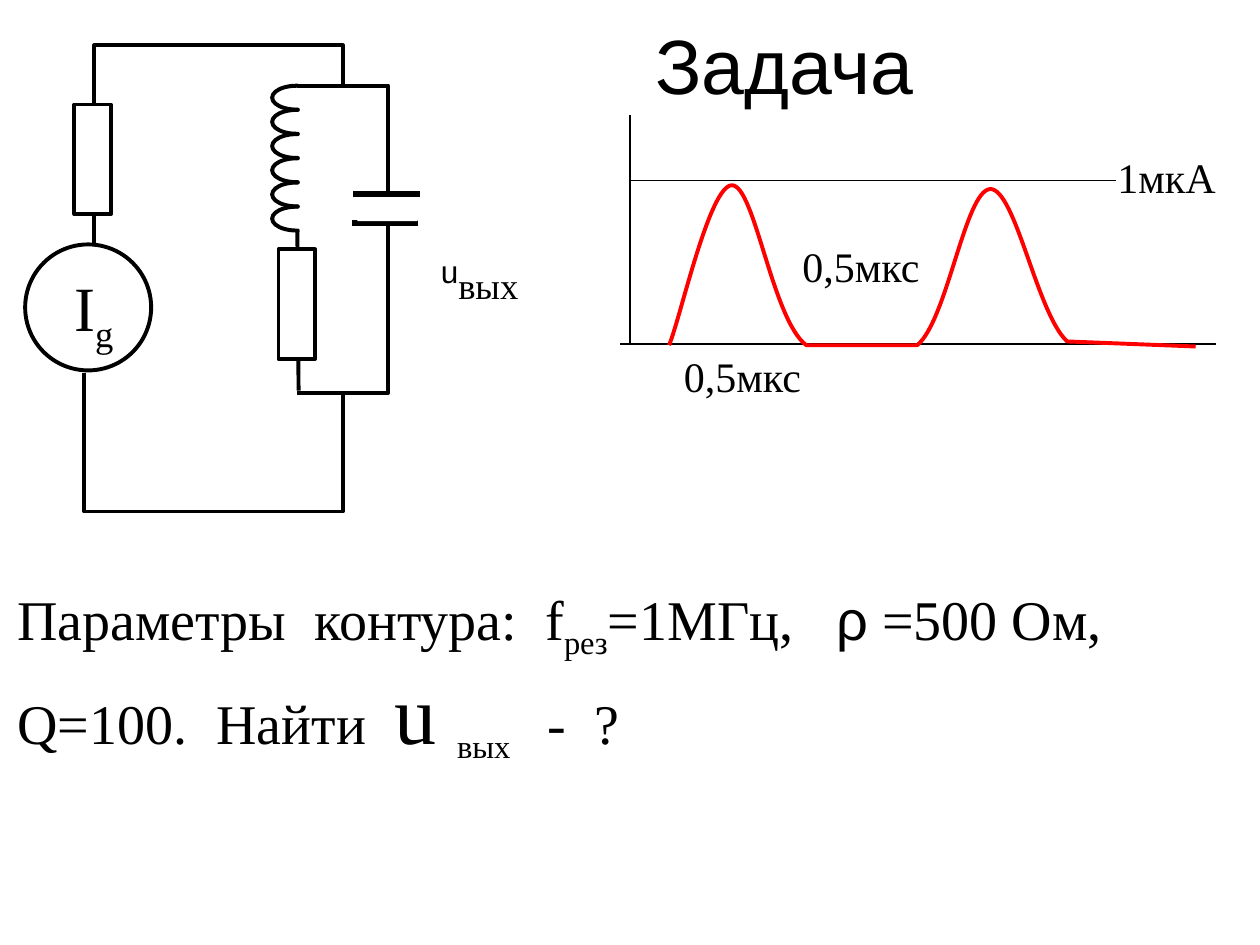
from lxml.etree import SubElement
from pptx import Presentation
from pptx.dml.color import RGBColor
from pptx.enum.shapes import MSO_CONNECTOR, MSO_SHAPE
from pptx.enum.text import MSO_ANCHOR, MSO_AUTO_SIZE, PP_ALIGN
from pptx.oxml.ns import qn
from pptx.util import Inches, Pt


class Theme:
    ink, paper, coil, signal = "000000", "FFFFFF", "BBE0E3", "FF0000"
    sans, serif = "Arial", "Times New Roman"
    title, body, variable, symbol, label, small = 44, 32, 48, 36, 24, 18
    thin, wire, plate = 0.75, 2.25, 3


# Content: each paragraph is (tab stops in inches, runs); a run is (text, format)
SUBSCRIPT = {"subscript": True}
TITLE = [([], [("Задача", {})])]
SOURCE_NAME = [([], [("I", {}), ("g", SUBSCRIPT)])]
OUTPUT_NAME = [([], [("u", {"size": Theme.small, "font": Theme.sans}), ("вых", SUBSCRIPT)])]
TASK = [
    ([2.36, 4.19, 6.5], [("Параметры\tконтура:\tf", {}), ("рез", SUBSCRIPT), ("=1МГц,\t", {}),
                         ("ρ", {"font": Theme.sans}), (" =500 Ом,", {})]),
    ([1.58, 2.99, 4.21, 4.58], [("Q=100.\tНайти\t", {}), ("u ", {"size": Theme.variable}),
                                ("вых", SUBSCRIPT), ("\t-\t?", {})]),
]
GRAPH_LABELS = [("0,5мкс", (5.33, 2.73, 1.14, 0.5)),
                ("0,5мкс", (6.27, 1.86, 1.14, 0.5)),
                ("1мкА", (8.77, 1.15, 0.98, 0.5))]

# Geometry in inches
COIL_TURNS, COIL_TOP, COIL_PITCH = 6, 0.58, 0.192
RESISTOR_SIZE = (0.87, 0.29)
# Outlines: a start point, then segments of one point (line) or three (curve)
TANK_WIRE = [(2.36, 0.68), [(3.08, 0.68)], [(3.08, 3.12)], [(2.36, 3.12)]]
TOP_WIRE = [(0.75, 1.94), [(0.75, 0.36)], [(2.72, 0.36)], [(2.72, 0.68)]]
BOTTOM_WIRE = [(0.67, 2.96), [(0.67, 4.06)], [(2.72, 4.06)], [(2.72, 3.1)]]
PULSES = [(5.31, 2.74),
          [(5.4, 2.53), (5.63, 1.47), (5.81, 1.47)],
          [(5.99, 1.47), (6.13, 2.54), (6.4, 2.74)],
          [(7.28, 2.74)],
          [(7.52, 2.54), (7.66, 1.51), (7.86, 1.5)],
          [(8.06, 1.5), (8.23, 2.49), (8.47, 2.71)],
          [(9.49, 2.75)]]
GRAPH_LINES = [((4.92, 2.73), (9.65, 2.73)),
               ((5, 2.73), (5, 0.91)),
               ((5, 1.43), (8.86, 1.43))]


def inches(values):
    return [Inches(value) for value in values]


def style_line(line, color, width):
    line.color.rgb = RGBColor.from_string(color)
    line.width = Pt(width)


def write_text(frame, paragraphs, size, font=Theme.serif, align=PP_ALIGN.LEFT,
               anchor=MSO_ANCHOR.TOP, wrap=True, fit=MSO_AUTO_SIZE.SHAPE_TO_FIT_TEXT):
    frame.word_wrap, frame.auto_size, frame.vertical_anchor = wrap, fit, anchor
    for index, (stops, runs) in enumerate(paragraphs):
        paragraph = frame.add_paragraph() if index else frame.paragraphs[0]
        paragraph.alignment = align
        if stops:
            tab_list = SubElement(paragraph._p.get_or_add_pPr(), qn("a:tabLst"))
            for stop in stops:
                SubElement(tab_list, qn("a:tab"), pos=str(Inches(stop)), algn="l")
        for text, style in runs:
            run = paragraph.add_run()
            run.text = text
            run.font.size = Pt(style.get("size", size))
            run.font.name = style.get("font", font)
            run.font.color.rgb = RGBColor.from_string(Theme.ink)
            if style.get("subscript"):
                run.font._element.set("baseline", "-25000")


def add_text(shapes, box, paragraphs, **style):
    write_text(shapes.add_textbox(*inches(box)).text_frame, paragraphs, **style)


def add_box(shapes, kind, box, fill=None, outlined=True, rotation=0):
    shape = shapes.add_shape(kind, *inches(box))
    shape.shadow.inherit = False
    shape.rotation = rotation
    if fill:
        shape.fill.solid()
        shape.fill.fore_color.rgb = RGBColor.from_string(fill)
    else:
        shape.fill.background()
    if outlined:
        style_line(shape.line, Theme.ink, Theme.wire)
    else:
        shape.line.fill.background()
    return shape


def add_line(shapes, start, end, width):
    line = shapes.add_connector(MSO_CONNECTOR.STRAIGHT, *inches(start + end))
    style_line(line.line, Theme.ink, width)
    SubElement(line.element.spPr, qn("a:effectLst"))


def add_outline(shapes, outline, color=Theme.ink):
    start, *segments = outline
    builder = shapes.build_freeform(*inches(start))
    builder.add_line_segments([inches(point) for segment in segments for point in segment],
                              close=False)
    shape = builder.convert_to_shape()
    shape.shadow.inherit = False
    shape.fill.background()
    style_line(shape.line, color, Theme.wire)
    # Merge each run of three line points into one Bezier curve
    steps = iter(list(shape.element.iter(qn("a:lnTo"))))
    for segment in segments:
        curve, *others = [next(steps) for _ in segment]
        if others:
            curve.tag = qn("a:cubicBezTo")
            for step in others:
                curve.append(step[0])
                step.getparent().remove(step)


def draw_tank(shapes):
    # Coil, from the bottom turn up
    for turn in reversed(range(COIL_TURNS)):
        arc = add_box(shapes, MSO_SHAPE.BLOCK_ARC,
                      (2.26, COIL_TOP + turn * COIL_PITCH, 0.19, 0.39),
                      fill=Theme.coil, rotation=270)
        for index, value in enumerate((104.66, 3.34, 0.003)):
            arc.adjustments[index] = value
    # Loss resistor and loop wire
    add_line(shapes, (2.36, 1.83), (2.37, 3.1), Theme.wire)
    add_box(shapes, MSO_SHAPE.RECTANGLE, (1.92, 2.27, *RESISTOR_SIZE),
            fill=Theme.paper, rotation=90)
    add_outline(shapes, TANK_WIRE)
    # Capacitor: two plates and the gap in the wire
    add_line(shapes, (3.33, 1.54), (2.8, 1.54), Theme.plate)
    add_line(shapes, (3.32, 1.77), (2.79, 1.77), Theme.plate)
    add_box(shapes, MSO_SHAPE.RECTANGLE, (2.98, 1.42, 0.19, 0.48),
            fill=Theme.paper, outlined=False, rotation=90)


def main():
    presentation = Presentation()
    presentation.slide_width, presentation.slide_height = Inches(10), Inches(7.5)
    slide = presentation.slides.add_slide(presentation.slide_layouts[5])
    shapes = slide.shapes

    # Title
    title = shapes.title
    title.left, title.top, title.width, title.height = inches((3.82, 0, 4.81, 1.01))
    write_text(title.text_frame, TITLE, Theme.title, font=Theme.sans, align=PP_ALIGN.CENTER,
               anchor=MSO_ANCHOR.MIDDLE, fit=MSO_AUTO_SIZE.NONE)

    # Circuit
    draw_tank(shapes.add_group_shape().shapes)
    source = shapes.add_group_shape().shapes
    add_box(source, MSO_SHAPE.OVAL, (0.2, 1.94, 1, 1))
    add_text(source, (0.49, 2.08, 0.97, 0.79), SOURCE_NAME, size=Theme.symbol)
    add_outline(shapes, TOP_WIRE)
    add_outline(shapes, BOTTOM_WIRE)
    add_box(shapes, MSO_SHAPE.RECTANGLE, (0.3, 1.12, *RESISTOR_SIZE),
            fill=Theme.paper, rotation=90)
    add_text(shapes, (3.4, 1.7, 0.9, 0.79), OUTPUT_NAME, size=Theme.symbol)

    # Current graph
    for start, end in GRAPH_LINES:
        add_line(shapes, start, end, Theme.thin)
    add_outline(shapes, PULSES, color=Theme.signal)
    for text, box in GRAPH_LABELS:
        add_text(shapes, box, [([], [(text, {})])], size=Theme.label, wrap=False)

    # Task
    add_text(shapes, (0.04, 4.59, 9.69, 1.54), TASK, size=Theme.body)

    presentation.save("out.pptx")


if __name__ == "__main__":
    main()
